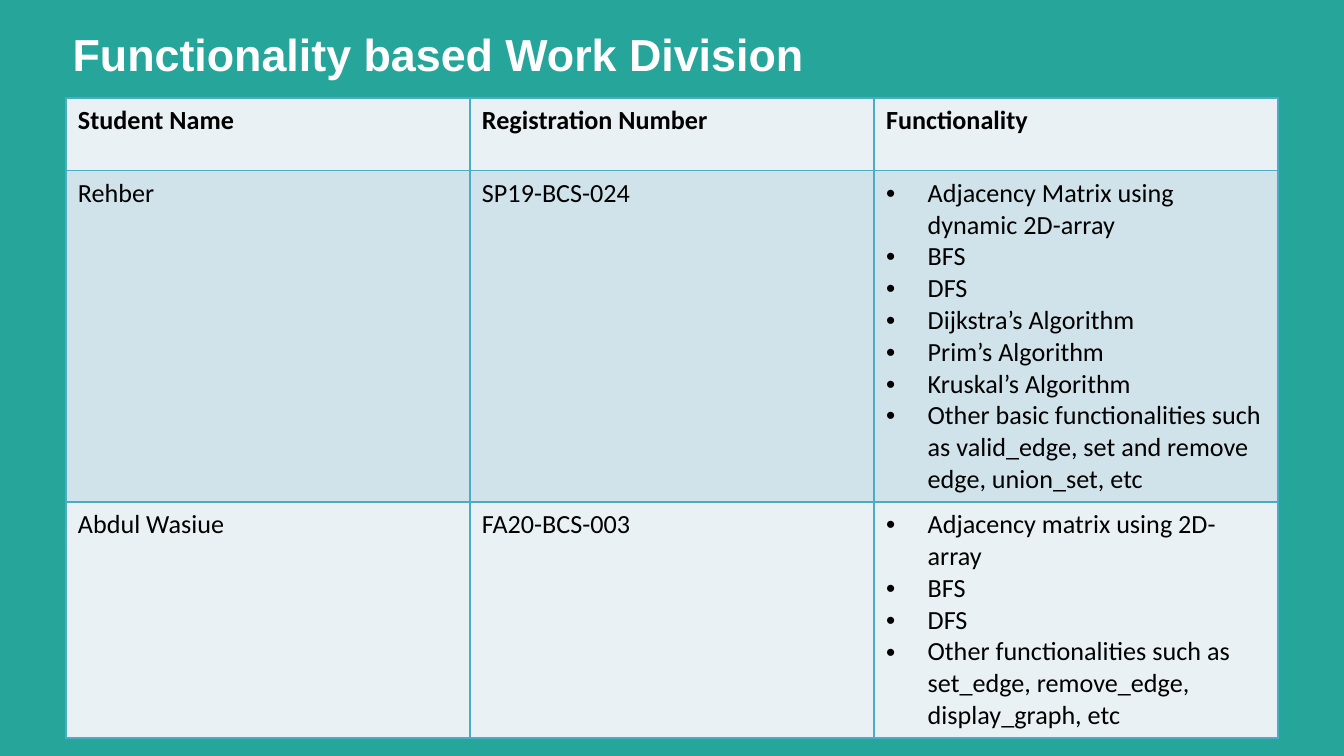
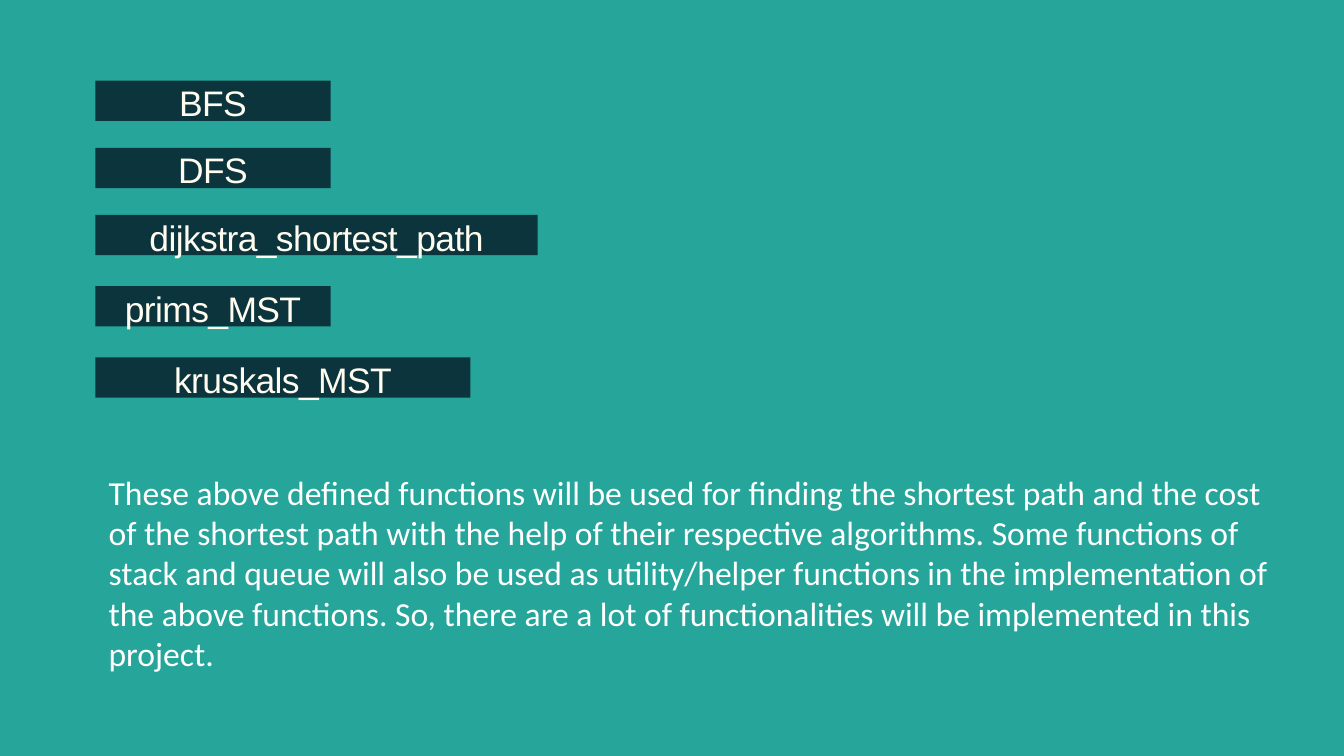
from lxml import etree
from pptx import Presentation
from pptx import util as u
from pptx.dml import color
from pptx.enum import shapes, text
from pptx.oxml import ns

TEAL, NAVY, CREAM, WHITE, BLACK = "26A59A", "0B343D", "FFFBEF", "FFFFFF", "000000"
BORDER, LIGHT, DARK = "4BACC6", "E9F1F5", "D0E3EA"
HEAD, BODY = "Arial", "Calibri"


def rgb(hex_value):
    return color.RGBColor.from_string(hex_value)


def paint(fill, hex_value):
    fill.solid()
    fill.fore_color.rgb = rgb(hex_value)


def add_run(p, words, size, font, hex_value, bold=False):
    r = p.add_run()
    r.text = words
    r.font.size = u.Pt(size)
    r.font.name = font
    r.font.bold = bold
    r.font.color.rgb = rgb(hex_value)
    return r


def place(sp, box):
    sp.left, sp.top, sp.width, sp.height = [u.Inches(v) for v in box]


def setup_frame(tf, margins=(0.1, 0.05)):
    tf.word_wrap = True
    tf.auto_size = text.MSO_AUTO_SIZE.NONE
    tf.vertical_anchor = text.MSO_ANCHOR.TOP
    tf.margin_left = tf.margin_right = u.Inches(margins[0])
    tf.margin_top = tf.margin_bottom = u.Inches(margins[1])


def add_title(s, box, words):
    sp = s.shapes.title
    place(sp, box)
    setup_frame(sp.text_frame)
    p = sp.text_frame.paragraphs[0]
    p.alignment = text.PP_ALIGN.LEFT
    add_run(p, words, 24, HEAD, WHITE, True)


def add_border(cell):
    tc_pr = cell._tc.get_or_add_tcPr()
    for side in ("a:lnL", "a:lnR", "a:lnT", "a:lnB"):
        ln = etree.SubElement(tc_pr, ns.qn(side), w=str(u.Pt(1)))
        fill = etree.SubElement(ln, ns.qn("a:solidFill"))
        etree.SubElement(fill, ns.qn("a:srgbClr"), val=BORDER)


def add_bullet(p):
    p_pr = p._p.get_or_add_pPr()
    p_pr.set("marL", str(u.Inches(0.31)))
    p_pr.set("indent", str(u.Inches(-0.31)))
    etree.SubElement(p_pr, ns.qn("a:buFont"), typeface=HEAD)
    etree.SubElement(p_pr, ns.qn("a:buChar"), char="•")


def fill_cell(cell, content, shade, bold):
    add_border(cell)
    paint(cell.fill, shade)
    cell.margin_left = cell.margin_right = u.Inches(0.09)
    cell.margin_top = cell.margin_bottom = u.Inches(0.05)
    bulleted = isinstance(content, list)
    tf = cell.text_frame
    for i, words in enumerate(content if bulleted else [content]):
        p = tf.add_paragraph() if i else tf.paragraphs[0]
        if bulleted:
            add_bullet(p)
        add_run(p, words, 14, BODY, BLACK, bold)


def add_division_table(s, box, rows, heights):
    columns = len(rows[0])
    frame = s.shapes.add_table(len(rows), columns, *[u.Inches(v) for v in box])
    table = frame.table
    for column in table.columns:
        column.width = u.Inches(box[2] / columns)
    for i, (row, height) in enumerate(zip(rows, heights)):
        table.rows[i].height = u.Inches(height)
        for j, content in enumerate(row):
            fill_cell(table.cell(i, j), content, DARK if i % 2 else LIGHT, i == 0)


def add_label(s, box, words):
    sp = s.shapes.add_shape(shapes.MSO_SHAPE.RECTANGLE, *[u.Inches(v) for v in box])
    sp.shadow.inherit = False
    paint(sp.fill, NAVY)
    sp.line.fill.background()
    setup_frame(sp.text_frame, (0, 0))
    p = sp.text_frame.paragraphs[0]
    p.alignment = text.PP_ALIGN.CENTER
    p.line_spacing = u.Pt(23.2)
    r = add_run(p, words, 19, HEAD, CREAM)
    r._r.get_or_add_rPr().set("spc", "-30")


def add_paragraph_box(s, box, words):
    sp = s.shapes.add_textbox(*[u.Inches(v) for v in box])
    setup_frame(sp.text_frame)
    add_run(sp.text_frame.paragraphs[0], words, 18, BODY, WHITE)


def build_division_slide(prs):
    s = prs.slides.add_slide(prs.slide_layouts[5])
    add_title(s, (0.44, 0.15, 9.11, 0.58), "Functionality based Work Division ")
    rows = [
        ("Student Name", "Registration Number", "Functionality"),
        ("Rehber", "SP19-BCS-024", [
            "Adjacency Matrix using dynamic 2D-array",
            "BFS",
            "DFS",
            "Dijkstra’s Algorithm",
            "Prim’s Algorithm",
            "Kruskal’s Algorithm",
            "Other basic functionalities such as valid_edge, set and remove "
            "edge, union_set, etc",
        ]),
        ("Abdul Wasiue", "FA20-BCS-003", [
            "Adjacency matrix using 2D-array",
            "BFS",
            "DFS",
            "Other functionalities such as set_edge, remove_edge, "
            "display_graph, etc",
        ]),
    ]
    add_division_table(s, (0.49, 0.73, 9.02, 4.7), rows, (0.54, 2.45, 1.71))


def build_functions_slide(prs):
    s = prs.slides.add_slide(prs.slide_layouts[6])
    labels = [
        (0.6, 1.75, "BFS"),
        (1.1, 1.75, "DFS"),
        (1.6, 3.29, "dijkstra_shortest_path"),
        (2.13, 1.75, "prims_MST"),
        (2.66, 2.79, "kruskals_MST"),
    ]
    for top, width, words in labels:
        add_label(s, (0.71, top, width, 0.3), words)
    add_paragraph_box(
        s, (0.71, 3.46, 8.88, 1.62),
        "These above defined functions will be used for finding the shortest path "
        "and the cost of the shortest path with the help of their respective "
        "algorithms. Some functions of stack and queue will also be used as "
        "utility/helper functions in the implementation of the above functions. "
        "So, there are a lot of functionalities will be implemented in this project.")


prs = Presentation()
prs.slide_width = u.Inches(10)
prs.slide_height = prs.slide_width * 9 // 16
paint(prs.slide_master.background.fill, TEAL)
build_division_slide(prs)
build_functions_slide(prs)
prs.save("out.pptx")
